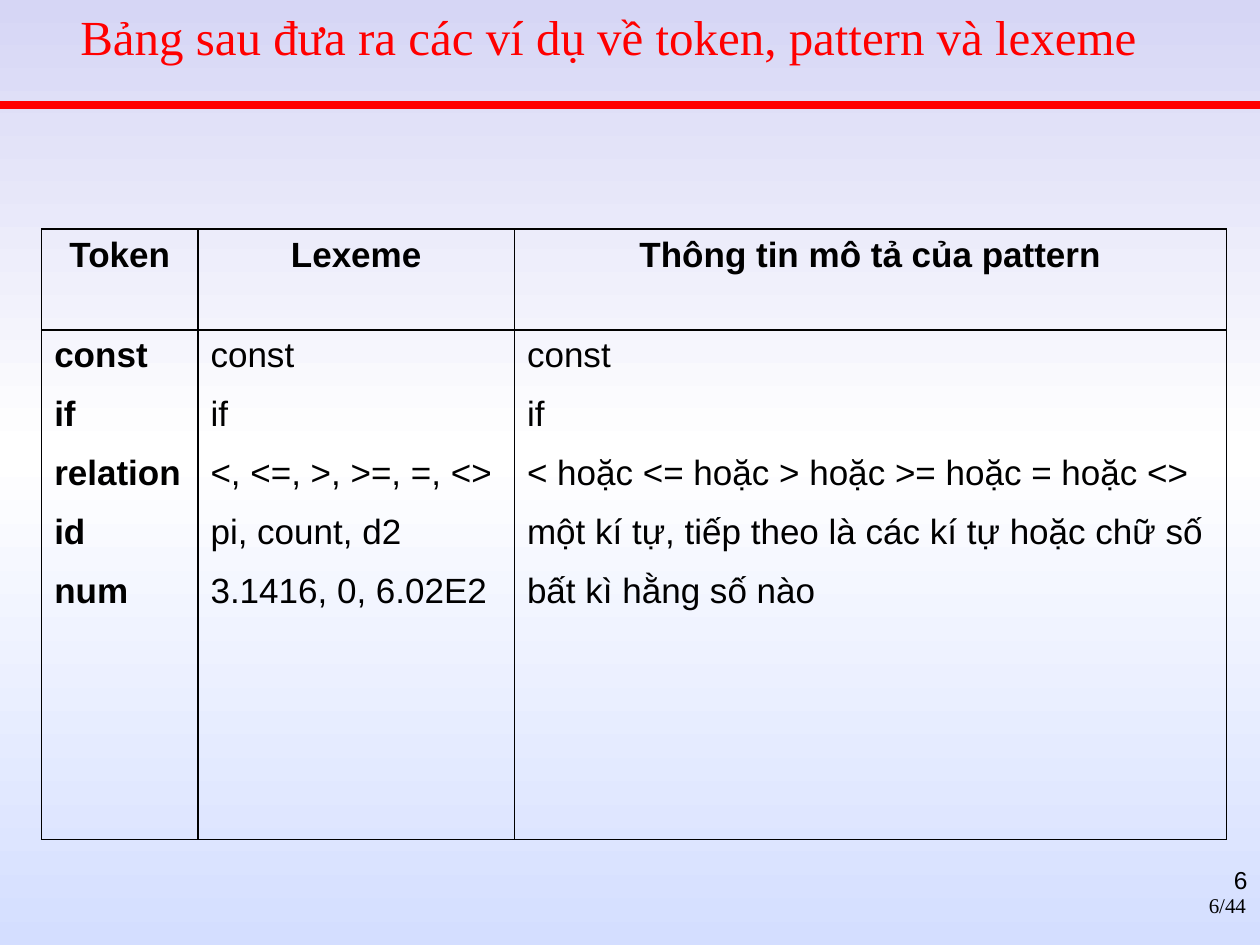
"""Build a slide with a table of token, pattern and lexeme examples."""
import pptx
import pptx.dml.color
import pptx.enum.shapes
import pptx.enum.text
import pptx.oxml
import pptx.oxml.ns
import pptx.util

Cm = pptx.util.Cm
Pt = pptx.util.Pt
ALIGN = pptx.enum.text.PP_ALIGN

COLORS = {
    "red": "FF0000",
    "black": "000000",
    "sky_top": "D6D6F5",
    "sky_middle": "FFFFFF",
    "sky_bottom": "D4DEFF",
}
GRADIENT = [(0, "sky_top"), (48, "sky_middle"), (100, "sky_bottom")]
COLUMN_WIDTHS = [3.15, 6.38, 14.35]
ROW_HEIGHTS = [2.03, 10.27]
HEADERS = ["Token", "Lexeme", "Thông tin mô tả của pattern"]
EXAMPLES = [
    ("const", "const", "const"),
    ("if", "if", "if"),
    ("relation", "<, <=, >, >=, =, <>", "< hoặc <= hoặc > hoặc >= hoặc = hoặc <>"),
    ("id", "pi, count, d2", "một kí tự, tiếp theo là các kí tự hoặc chữ số"),
    ("num", "3.1416, 0, 6.02E2", "bất kì hằng số nào"),
]


def rgb(name):
    """Return the named colour."""
    return pptx.dml.color.RGBColor.from_string(COLORS[name])


def parse_xml(tag, attributes, content):
    """Return a drawing element made from its tag, attributes and content."""
    namespace = pptx.oxml.ns.nsdecls("a")
    return pptx.oxml.parse_xml(f"<a:{tag} {namespace} {attributes}>{content}</a:{tag}>")


def style_paragraph(paragraph, size, font_name, color="black", align=ALIGN.LEFT, bold=False):
    """Set the font and alignment of a paragraph."""
    paragraph.alignment = align
    paragraph.font.size = Pt(size)
    paragraph.font.name = font_name
    paragraph.font.bold = bold
    paragraph.font.color.rgb = rgb(color)


def set_background(slide):
    """Fill the slide with a vertical gradient."""
    fill = slide.background.fill
    fill.gradient()
    fill.gradient_angle = 270
    stops = "".join(
        f'<a:gs pos="{position * 1000}"><a:srgbClr val="{COLORS[name]}"/></a:gs>'
        for position, name in GRADIENT
    )
    old_list = slide.background._cSld.find(".//" + pptx.oxml.ns.qn("a:gsLst"))
    old_list.getparent().replace(old_list, parse_xml("gsLst", "", stops))


def add_rule(slide, top, width):
    """Draw the line below the title."""
    rule = slide.shapes.add_connector(
        pptx.enum.shapes.MSO_CONNECTOR.STRAIGHT, 0, Cm(top), Cm(width), Cm(top)
    )
    rule.line.color.rgb = rgb("red")
    rule.line.width = Pt(4.5)
    rule._element.spPr.append(parse_xml("effectLst", "", ""))


def add_text(slide, text, left, top, width, height, **style):
    """Add a one-paragraph text box and return its paragraph."""
    shape = slide.shapes.add_textbox(Cm(left), Cm(top), Cm(width), Cm(height))
    shape.text_frame.word_wrap = True
    paragraph = shape.text_frame.paragraphs[0]
    paragraph.text = text
    style_paragraph(paragraph, **style)
    return paragraph


def fill_cell(cell, lines, align, bold):
    """Write lines into a cell with black borders and no fill."""
    cell.text = "\n".join(lines)
    for paragraph in cell.text_frame.paragraphs:
        style_paragraph(paragraph, 20, "Arial", align=align, bold=bold)
        paragraph.space_before = Pt(11.3)
    border_fill = f'<a:solidFill><a:srgbClr val="{COLORS["black"]}"/></a:solidFill>'
    properties = cell._tc.get_or_add_tcPr()
    for side in "LRTB":
        properties.append(parse_xml(f"ln{side}", f'w="{Pt(1)}"', border_fill))
    cell.fill.background()


def add_token_table(slide, left, top):
    """Add the table of tokens, lexemes and patterns."""
    table = slide.shapes.add_table(
        len(ROW_HEIGHTS), len(COLUMN_WIDTHS), Cm(left), Cm(top),
        Cm(sum(COLUMN_WIDTHS)), Cm(sum(ROW_HEIGHTS)),
    ).table
    table.first_row = False
    table.horz_banding = False
    for row, height in zip(table.rows, ROW_HEIGHTS):
        row.height = Cm(height)
    for index, (width, header) in enumerate(zip(COLUMN_WIDTHS, HEADERS)):
        table.columns[index].width = Cm(width)
        fill_cell(table.cell(0, index), [header], ALIGN.CENTER, True)
        lines = [example[index] for example in EXAMPLES]
        fill_cell(table.cell(1, index), lines, ALIGN.LEFT, index == 0)


def main():
    """Build and save the presentation."""
    presentation = pptx.Presentation()
    presentation.slide_width = Cm(25.4)
    presentation.slide_height = Cm(19.05)
    slide = presentation.slides.add_slide(presentation.slide_layouts[6])
    set_background(slide)
    add_rule(slide, 2.12, 25.4)
    add_text(slide, "6/44", 22.58, 17.86, 2.79, 0.76,
             size=12, font_name="Times New Roman", align=ALIGN.RIGHT)
    add_text(slide, "6", 20.12, 17.32, 5.28, 1.27,
             size=14, font_name="Arial", align=ALIGN.RIGHT)
    add_token_table(slide, 0.84, 4.62)
    title = add_text(slide, "Bảng sau đưa ra các ví dụ về token, pattern và lexeme",
                     0.84, 0, 23.85, 1.45,
                     size=28, font_name="Times New Roman", color="red")
    title._p.get_or_add_pPr().set("marL", str(Cm(0.53)))
    presentation.save("out.pptx")


if __name__ == "__main__":
    main()
